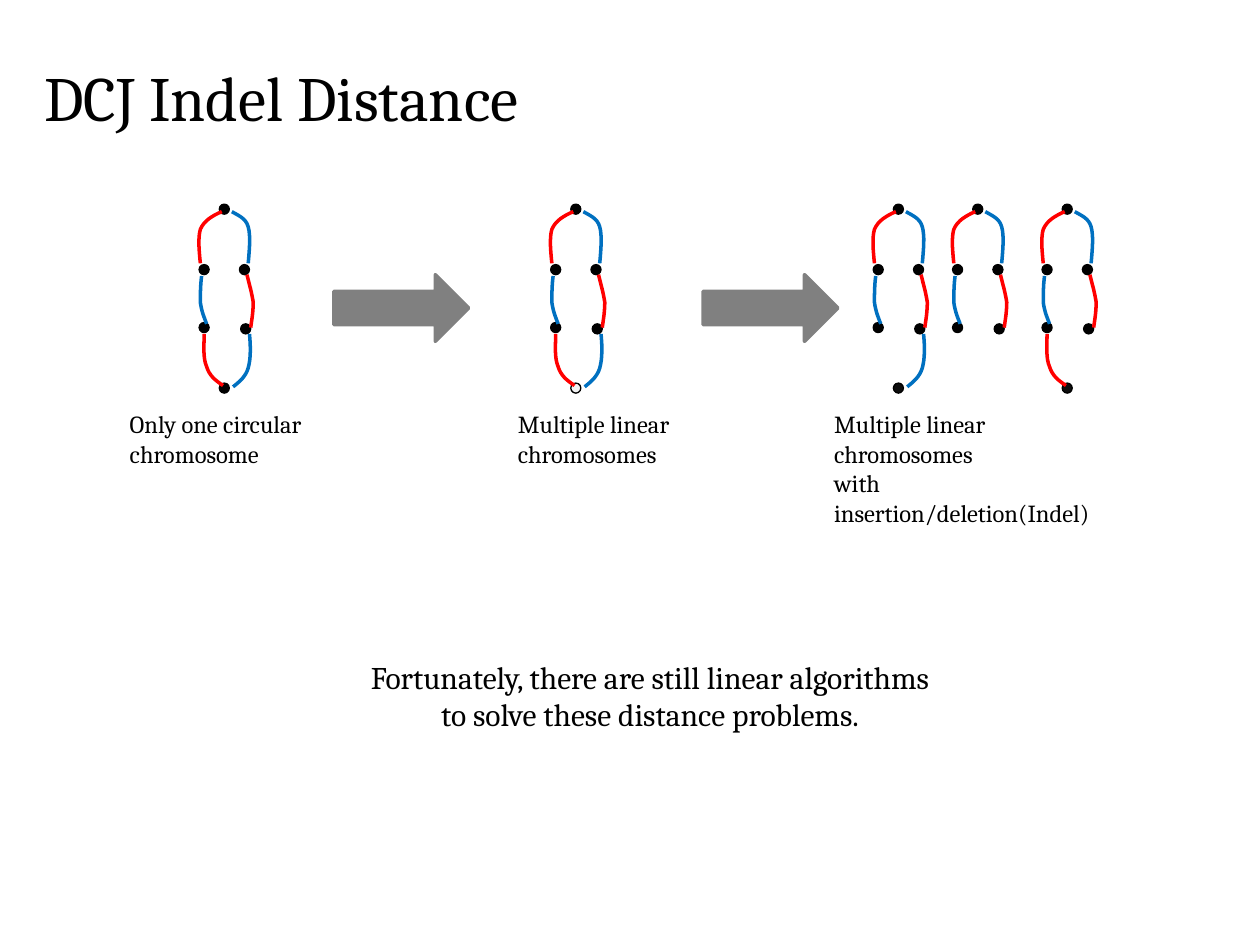
from lxml.etree import SubElement
from pptx import Presentation
from pptx.dml.color import RGBColor
from pptx.enum.shapes import MSO_SHAPE
from pptx.enum.text import MSO_ANCHOR, PP_ALIGN
from pptx.util import Inches, Pt

COLORS = {
    "black": "000000",
    "near_black": "0D0D0D",
    "open": "F2F2F2",
    "red": "FF0000",
    "blue": "0070C0",
    "gray": "808080",
}
FONT = "Cambria"
DOT_SIZE = 0.08
CURVE_STEPS = 8

DOTS = {
    "top": (0.16, 0),
    "upper_left": (0, 0.48),
    "upper_right": (0.32, 0.48),
    "lower_left": (0, 0.94),
    "lower_right": (0.33, 0.95),
    "bottom": (0.16, 1.42),
}
EDGES = {
    "upper_left": ("red", [(0.18, 0.06), (0.11, 0.09), (0.04, 0.13), (0.01, 0.2),
                           (-0.01, 0.27), (0, 0.37), (0.01, 0.47)]),
    "middle_left": ("blue", [(0.02, 0.57), (0.01, 0.65), (0.01, 0.72), (0.01, 0.78),
                             (0.02, 0.85), (0.04, 0.9), (0.06, 0.95)]),
    "lower_left": ("red", [(0.04, 1.03), (0.04, 1.13), (0.03, 1.22), (0.06, 1.29),
                           (0.08, 1.36), (0.13, 1.4), (0.19, 1.44)]),
    "middle_right": ("red", [(0.38, 0.56), (0.4, 0.64), (0.42, 0.71), (0.43, 0.78),
                             (0.43, 0.85), (0.42, 0.91), (0.41, 0.98)]),
    "upper_right": ("blue", [(0.26, 0.06), (0.31, 0.09), (0.37, 0.11), (0.39, 0.18),
                             (0.41, 0.25), (0.4, 0.36), (0.39, 0.47)]),
    "lower_right": ("blue", [(0.4, 1.03), (0.41, 1.13), (0.41, 1.23), (0.39, 1.3),
                             (0.37, 1.37), (0.32, 1.41), (0.27, 1.45)]),
}


def rgb(name):
    """Return the named colour."""
    return RGBColor.from_string(COLORS[name])


def set_style(shape, fill, line, width):
    """Set fill and line of a shape and remove its shadow."""
    shape.shadow.inherit = False
    if fill:
        shape.fill.solid()
        shape.fill.fore_color.rgb = rgb(fill)
    else:
        shape.fill.background()
    shape.line.color.rgb = rgb(line)
    shape.line.width = Pt(width)


def set_font(paragraph, size):
    """Set the slide's font on a paragraph."""
    paragraph.font.name = FONT
    paragraph.font.size = Pt(size)
    paragraph.font.color.rgb = rgb("black")


def bezier_points(points):
    """Return points along a chain of cubic curves."""
    result = [points[0]]
    for first in range(0, len(points) - 1, 3):
        controls = points[first:first + 4]
        for step in range(1, CURVE_STEPS + 1):
            t = step / CURVE_STEPS
            weights = ((1 - t) ** 3, 3 * t * (1 - t) ** 2, 3 * t * t * (1 - t), t ** 3)
            result.append(tuple(
                sum(weight * point[axis] for weight, point in zip(weights, controls))
                for axis in (0, 1)))
    return result


def add_chromosome(slide, left, top, missing=(), bottom="black"):
    """Draw dots and coloured adjacencies, without the missing lower edges."""
    group = slide.shapes.add_group_shape()
    for name, (x, y) in DOTS.items():
        if name == "bottom" and bottom is None:
            continue
        dot = group.shapes.add_shape(
            MSO_SHAPE.OVAL, Inches(left + x), Inches(top + y),
            Inches(DOT_SIZE), Inches(DOT_SIZE))
        set_style(dot, bottom if name == "bottom" else "black", "black", 0.75)
    for name, (color, points) in EDGES.items():
        if name in missing:
            continue
        start, *others = [(Inches(left + x), Inches(top + y))
                          for x, y in bezier_points(points)]
        builder = group.shapes.build_freeform(*start)
        builder.add_line_segments(others, close=False)
        set_style(builder.convert_to_shape(), None, color, 2)


def add_text(slide, left, top, width, height, lines, size, alignment=PP_ALIGN.LEFT):
    """Add a text box with one paragraph for each line."""
    box = slide.shapes.add_textbox(
        Inches(left), Inches(top), Inches(width), Inches(height))
    frame = box.text_frame
    frame.word_wrap = True
    frame.margin_left = frame.margin_right = Inches(0.05)
    frame.margin_top = frame.margin_bottom = Inches(0.05)
    frame.text = "\n".join(lines)
    for paragraph in frame.paragraphs:
        paragraph.alignment = alignment
        set_font(paragraph, size)


def add_arrow(slide, left, top, width, height):
    """Add a gray block arrow with rounded line joins."""
    arrow = slide.shapes.add_shape(
        MSO_SHAPE.RIGHT_ARROW, Inches(left), Inches(top), Inches(width), Inches(height))
    set_style(arrow, "gray", "gray", 2)
    line = arrow.line._get_or_add_ln()
    SubElement(line, line.tag.replace("}ln", "}round"))


def add_title(slide, left, top, width, height, text):
    """Place and format the title placeholder."""
    title = slide.shapes.title
    title.left, title.top = Inches(left), Inches(top)
    title.width, title.height = Inches(width), Inches(height)
    frame = title.text_frame
    frame.margin_left = frame.margin_right = 0
    frame.margin_top = frame.margin_bottom = 0
    frame.vertical_anchor = MSO_ANCHOR.MIDDLE
    frame.text = text
    frame.paragraphs[0].alignment = PP_ALIGN.LEFT
    set_font(frame.paragraphs[0], 36)


def main():
    """Build and save the slide."""
    presentation = Presentation()
    presentation.slide_width, presentation.slide_height = Inches(10), Inches(7.5)
    slide = presentation.slides.add_slide(presentation.slide_layouts[5])
    add_title(slide, 0.35, 0.35, 9, 0.83, "DCJ Indel Distance")

    top = 1.62
    add_chromosome(slide, 1.58, top)
    add_chromosome(slide, 4.37, top, bottom="open")
    add_chromosome(slide, 6.93, top, ["lower_left"], "near_black")
    add_chromosome(slide, 7.56, top, ["lower_left", "lower_right"], None)
    add_chromosome(slide, 8.27, top, ["lower_right"], "near_black")

    captions = [
        (0.98, 1.63, ["Only one circular", "chromosome"]),
        (4.06, 1.42, ["Multiple linear", "chromosomes"]),
        (6.57, 2.53, ["Multiple linear", "chromosomes", "with insertion/deletion(Indel)"]),
    ]
    for left, width, lines in captions:
        add_text(slide, left, 3.2, width, 0.1 + 0.24 * len(lines), lines, 14)
    for left in (2.65, 5.58):
        add_arrow(slide, left, 2.18, 1.07, 0.53)
    add_text(slide, 2.68, 5.17, 4.96, 0.71,
             ["Fortunately, there are still linear algorithms",
              "to solve these distance problems."], 18, PP_ALIGN.CENTER)
    presentation.save("out.pptx")


if __name__ == "__main__":
    main()
